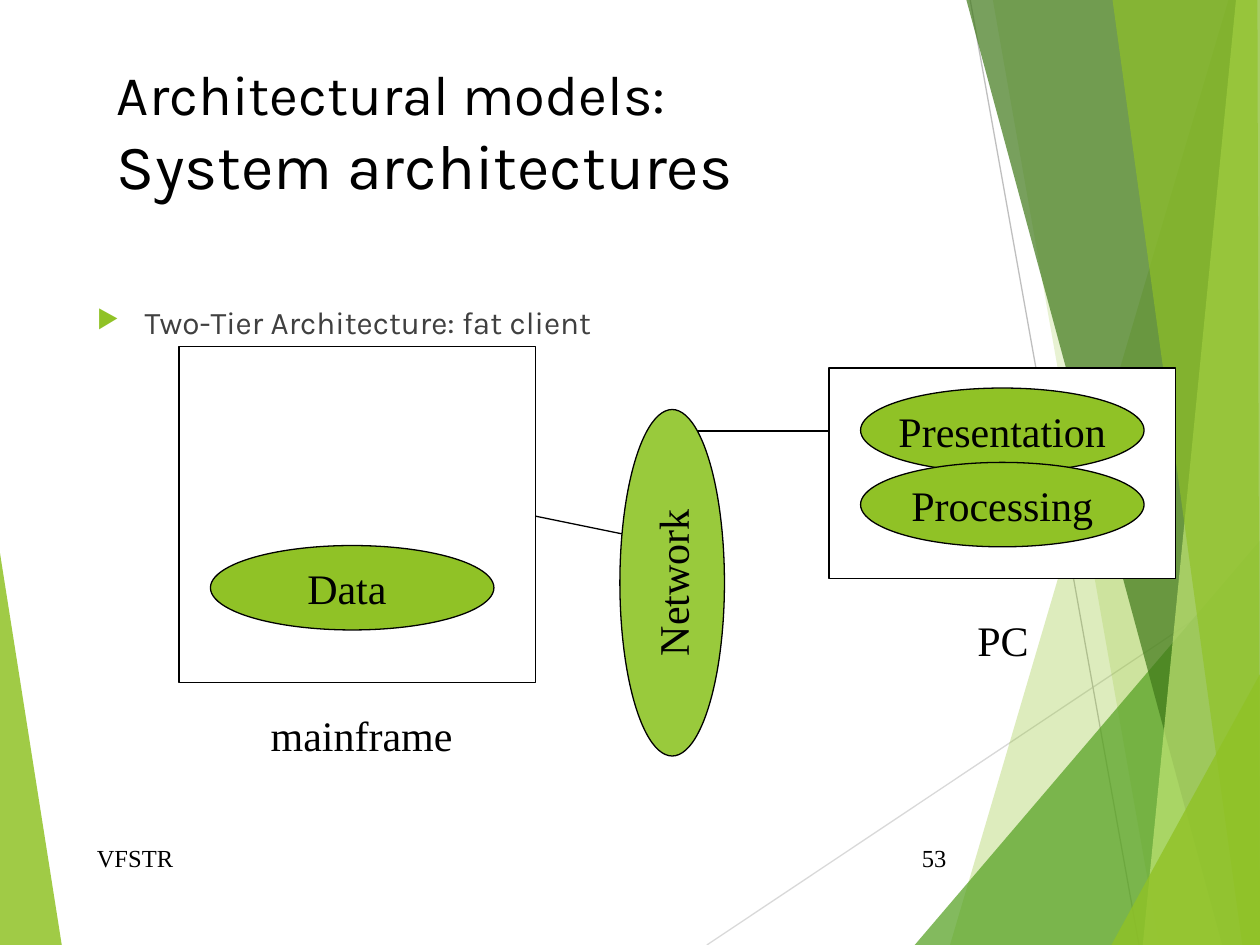
from lxml import etree
from pptx import Presentation
from pptx import util as u
from pptx.dml.color import RGBColor
from pptx.enum import shapes, text
from pptx.oxml.ns import qn

COLORS = {
    "black": "000000", "white": "FFFFFF", "body": "404040",
    "lime": "90C226", "network": "99CA3C", "leaf": "54A021",
    "forest": "3F7819", "pale": "C0E474",
    "silver": "BFBFBF", "mist": "D9D9D9",
}
SERIF, SANS = "Times New Roman", "Karla"
LEFT, CENTER, RIGHT = text.PP_ALIGN.LEFT, text.PP_ALIGN.CENTER, text.PP_ALIGN.RIGHT
TOP, MIDDLE = text.MSO_ANCHOR.TOP, text.MSO_ANCHOR.MIDDLE
RECT, OVAL = shapes.MSO_SHAPE.RECTANGLE, shapes.MSO_SHAPE.OVAL


def rgb(name):
    return RGBColor.from_string(COLORS[name])


class Deck:
    """Holds the drawing style and the current slide."""

    line_width = u.Pt(0.75)
    frame = {"margin_left": u.Inches(0.1), "margin_right": u.Inches(0.1),
             "margin_top": u.Inches(0.05), "margin_bottom": u.Inches(0.05)}

    def __init__(self, width, height):
        self.prs = Presentation()
        self.prs.slide_width = u.Inches(width)
        self.prs.slide_height = u.Inches(height)
        self.s = self.prs.slides.add_slide(self.prs.slide_layouts[6])

    def facet(self, points, color, opacity):
        """Translucent polygon without an outline."""
        pts = [(u.Inches(x), u.Inches(y)) for x, y in points]
        fb = self.s.shapes.build_freeform(*pts[0])
        fb.add_line_segments(pts[1:], close=True)
        sp = fb.convert_to_shape()
        sp.shadow.inherit = False
        sp.line.fill.background()
        sp.fill.solid()
        sp.fill.fore_color.rgb = rgb(color)
        clr = sp._element.spPr.find(qn("a:solidFill"))[0]
        etree.SubElement(clr, qn("a:alpha"), val=str(opacity * 1000))

    def line(self, start, end, color="black"):
        cn = self.s.shapes.add_connector(
            shapes.MSO_CONNECTOR.STRAIGHT, *map(u.Inches, start + end))
        cn.line.color.rgb = rgb(color)
        cn.line.width = self.line_width
        etree.SubElement(cn._element.spPr, qn("a:effectLst"))

    def shape(self, kind, box, fill, label=None, rotation=0):
        sp = self.s.shapes.add_shape(kind, *map(u.Inches, box))
        sp.shadow.inherit = False
        sp.rotation = rotation
        sp.fill.solid()
        sp.fill.fore_color.rgb = rgb(fill)
        sp.line.color.rgb = rgb("black")
        sp.line.width = self.line_width
        if label:
            self.fill_text(sp, [(label, 24)], align=CENTER, anchor=MIDDLE, wrap=False)

    def text(self, box, lines, bullet=False, **fmt):
        sp = self.s.shapes.add_textbox(*map(u.Inches, box))
        self.fill_text(sp, lines, bullet, **fmt)

    def fill_text(self, sp, lines, bullet=False, font=SERIF, color="black",
                  align=LEFT, anchor=TOP, wrap=True):
        """Fill a shape with one paragraph of (text, size) lines."""
        tf = sp.text_frame
        frame = {**self.frame, "word_wrap": wrap, "vertical_anchor": anchor}
        for name, value in frame.items():
            setattr(tf, name, value)
        p = tf.paragraphs[0]
        p.alignment = align
        if bullet:
            self.bullet(p)
        for i, (words, size) in enumerate(lines):
            if i:
                p.add_line_break()
            r = p.add_run()
            r.text = words
            for name, value in {"name": font, "size": u.Pt(size)}.items():
                setattr(r.font, name, value)
            r.font.color.rgb = rgb(color)

    def bullet(self, p):
        pPr = p._p.get_or_add_pPr()
        indent = u.Inches(0.38)
        pPr.set("marL", str(indent))
        pPr.set("indent", str(-indent))
        clr = etree.SubElement(pPr, qn("a:buClr"))
        etree.SubElement(clr, qn("a:srgbClr"), val=COLORS["lime"])
        etree.SubElement(pPr, qn("a:buSzPct"), val="80000")
        etree.SubElement(pPr, qn("a:buChar"), char="▶")


def main():
    W, H = 10, 7.5
    deck = Deck(W, H)

    # Background facets and hairlines
    deck.facet([(0, 4.39), (0.49, H), (0, H)], "lime", 85)
    deck.line((5.61, H), (W, 4.57), "mist")
    deck.line((7.7, 0), (9.04, H), "silver")
    facets = [
        ([(9.75, 0), (7.54, H), (W, H), (W, 0)], "lime", 30),
        ([(7.88, 0), (9.2, H), (W, H), (W, 0)], "lime", 20),
        ([(7.26, H), (W, 4.29), (W, H)], "leaf", 72),
        ([(7.67, 0), (9.7, H), (W, H), (W, 0)], "forest", 70),
        ([(9.81, 0), (9.07, H), (W, H), (W, 0)], "pale", 70),
        ([(8.83, 0), (9.86, H), (W, H), (9.98, 0)], "lime", 65),
        ([(8.82, H), (W, 5.35), (W, H)], "lime", 80),
    ]
    for points, color, opacity in facets:
        deck.facet(points, color, opacity)

    # Title, bullet and footer
    deck.text((0.83, 0.42, 8.42, 1.17),
              [("Architectural models:", 32), ("System architectures", 36)], font=SANS)
    deck.text((0.67, 2.36, 6.94, 4.24), [("Two-Tier Architecture: fat client", 18)],
              bullet=True, font=SANS, color="body")
    deck.text((0.67, 6.61, 5.06, 0.4), [("VFSTR", 14)], anchor=MIDDLE)
    deck.text((7.05, 6.61, 0.56, 0.4), [("53", 14)], align=RIGHT, anchor=MIDDLE)

    # Links to the network
    deck.line((4.17, 4.08), (5, 4.25))
    deck.line((5.5, 3.42), (6.67, 3.42))

    # Machines and their tiers
    deck.shape(RECT, (6.58, 2.92, 2.75, 1.67), "white")
    deck.shape(RECT, (1.42, 2.75, 2.83, 2.67), "white")
    for x, y, label in [(6.83, 3.08, "Presentation"), (6.83, 3.67, "Processing"),
                        (1.67, 4.33, "Data ")]:
        deck.shape(OVAL, (x, y, 2.25, 0.67), "lime", label)
    deck.shape(OVAL, (3.96, 4.21, 2.75, 0.83), "network", "Network", rotation=270)

    # Machine names
    deck.text((1.58, 5.58, 2.58, 0.5), [("mainframe", 24)], align=CENTER)
    deck.text((6.92, 4.83, 2.08, 0.5), [("PC", 24)], align=CENTER)

    deck.prs.save("out.pptx")


if __name__ == "__main__":
    main()
